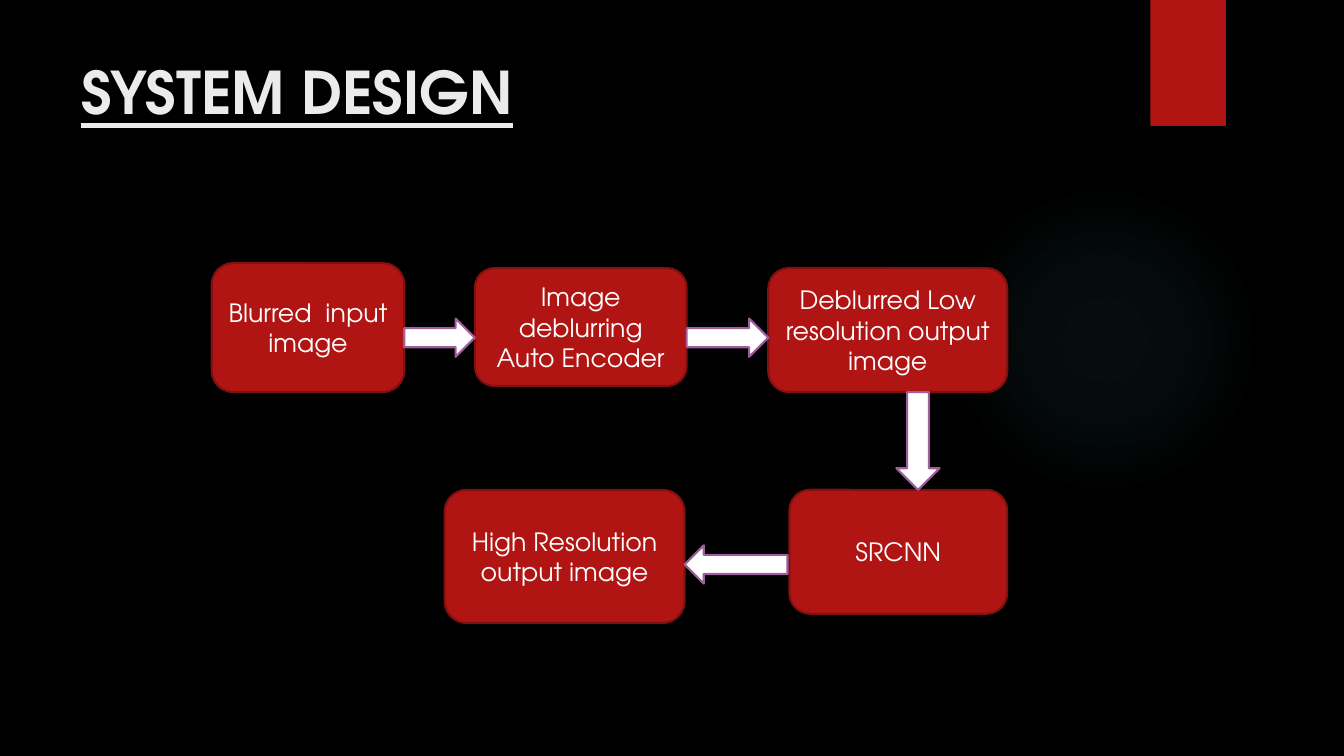
from pptx import Presentation
from pptx.dml.color import RGBColor
from pptx.enum.shapes import MSO_SHAPE
from pptx.enum.text import MSO_ANCHOR, PP_ALIGN
from pptx.oxml import parse_xml
from pptx.oxml.ns import nsdecls
from pptx.util import Inches, Pt

BLACK = RGBColor(0x00, 0x00, 0x00)
WHITE = RGBColor(0xFF, 0xFF, 0xFF)
TITLE_GREY = RGBColor(0xEB, 0xEB, 0xEB)
RED = RGBColor(0xB0, 0x15, 0x13)
DARK_RED = RGBColor(0x82, 0x10, 0x0E)
PURPLE = RGBColor(0x9E, 0x5E, 0x9B)
GLOW_TEAL = RGBColor(0x50, 0xB9, 0xC1)
FONT = "TeX Gyre Adventor"


def add_filled_shape(kind, bounds, fill_color, line_color=None):
    """Add a shadowless solid shape, outlined only if a line colour is given."""
    shape = slide.shapes.add_shape(kind, *[Inches(value) for value in bounds])
    shape.shadow.inherit = False
    shape.fill.solid()
    shape.fill.fore_color.rgb = fill_color
    if line_color is None:
        shape.line.fill.background()
    else:
        shape.line.color.rgb = line_color
        shape.line.width = Pt(1.5)
    return shape


def style_font(font, size, color):
    font.name = FONT
    font.size = Pt(size)
    font.color.rgb = color


presentation = Presentation()
presentation.slide_width = Inches(13.33)
presentation.slide_height = Inches(7.5)
slide = presentation.slides.add_slide(presentation.slide_layouts[6])
slide.background.fill.solid()
slide.background.fill.fore_color.rgb = BLACK

# Soft radial glow, fading out from the centre
glow = add_filled_shape(MSO_SHAPE.OVAL, (9.41, 1.83, 3.08, 3.08), GLOW_TEAL)
glow_stops = "".join(
    f'<a:gs pos="{position * 1000}"><a:srgbClr val="{GLOW_TEAL}">'
    f'<a:alpha val="{opacity * 1000}"/></a:srgbClr></a:gs>'
    for position, opacity in [(0, 7), (36, 6), (69, 0)]
)
gradient = parse_xml(
    f'<a:gradFill {nsdecls("a")} rotWithShape="1"><a:gsLst>{glow_stops}</a:gsLst>'
    '<a:path path="circle"><a:fillToRect l="50000" t="50000" r="50000" b="50000"/></a:path>'
    "</a:gradFill>"
)
glow_properties = glow.element.spPr
glow_properties.replace(glow_properties.find("{*}solidFill"), gradient)

add_filled_shape(MSO_SHAPE.RECTANGLE, (11.41, 0, 0.75, 1.25), RED)

title = slide.shapes.add_textbox(Inches(0.71), Inches(0.5), Inches(10.29), Inches(1.53))
title.text_frame.word_wrap = True
title.text_frame.text = "SYSTEM DESIGN"
title_font = title.text_frame.paragraphs[0].runs[0].font
style_font(title_font, 42, TITLE_GREY)
title_font.bold = True
title_font.underline = True

steps = [
    ("Blurred  input image", (2.1, 2.61, 1.91, 1.28)),
    ("Image deblurring\nAuto Encoder", (4.71, 2.66, 2.1, 1.17)),
    ("Deblurred Low resolution output\nimage", (7.62, 2.66, 2.37, 1.23)),
    ("SRCNN", (7.83, 4.86, 2.16, 1.23)),
    ("High Resolution output image", (4.41, 4.86, 2.38, 1.32)),
]
for text, bounds in steps:
    step = add_filled_shape(MSO_SHAPE.ROUNDED_RECTANGLE, bounds, RED, DARK_RED)
    step.text_frame.word_wrap = True
    step.text_frame.vertical_anchor = MSO_ANCHOR.MIDDLE
    step.text_frame.text = text
    for paragraph in step.text_frame.paragraphs:
        paragraph.alignment = PP_ALIGN.CENTER
        style_font(paragraph.runs[0].font, 18, WHITE)

arrows = [
    (MSO_SHAPE.RIGHT_ARROW, (4.01, 3.16, 0.7, 0.38)),
    (MSO_SHAPE.RIGHT_ARROW, (6.81, 3.16, 0.81, 0.38)),
    (MSO_SHAPE.DOWN_ARROW, (8.89, 3.89, 0.43, 0.97)),
    (MSO_SHAPE.LEFT_ARROW, (6.79, 5.41, 1.02, 0.38)),
]
for kind, bounds in arrows:
    add_filled_shape(kind, bounds, WHITE, PURPLE)

presentation.save("out.pptx")
